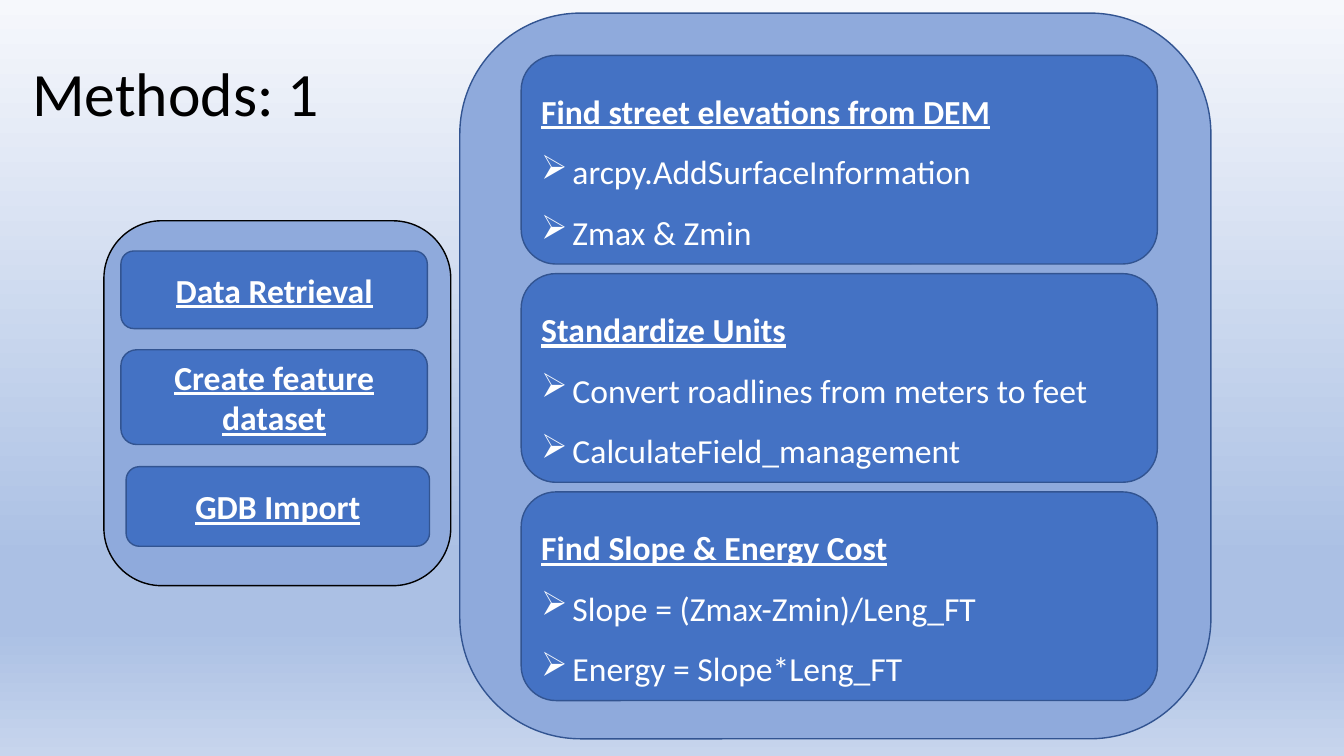
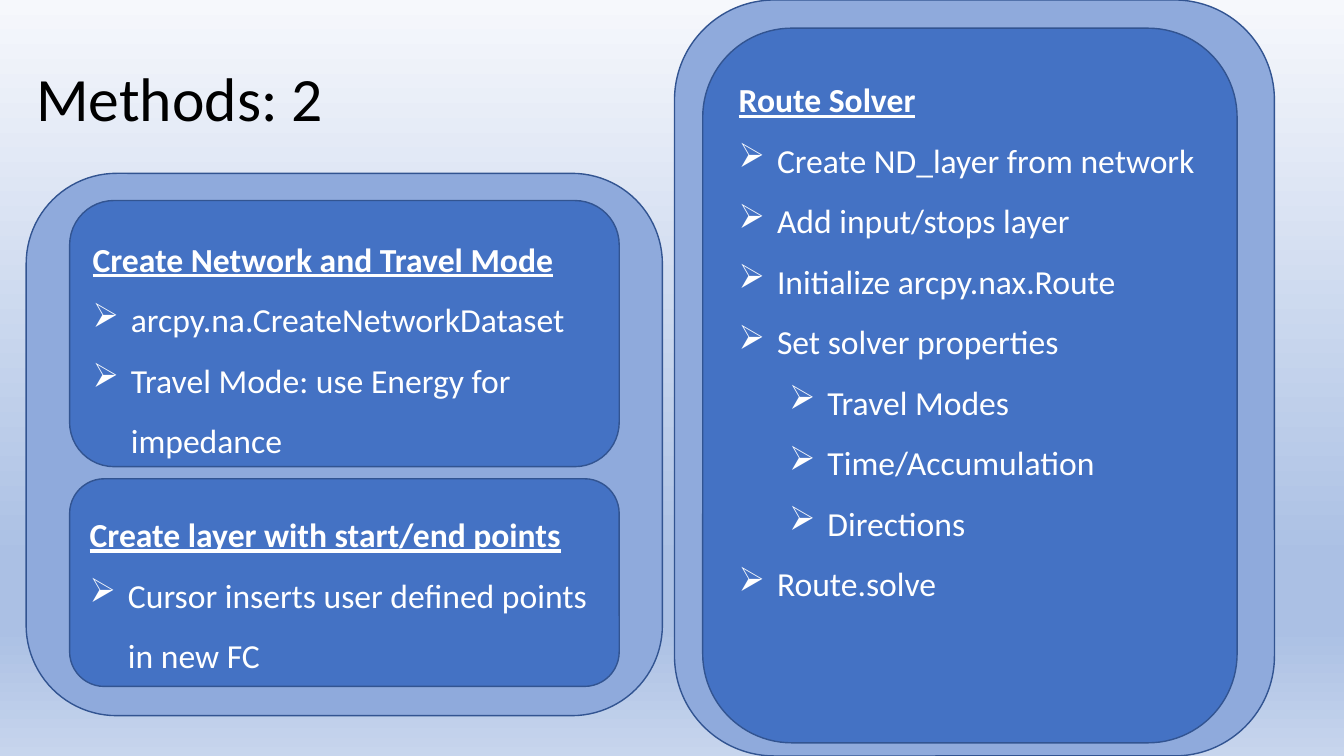
from lxml.etree import SubElement
from pptx import Presentation
from pptx.dml.color import RGBColor
from pptx.enum.shapes import MSO_SHAPE
from pptx.enum.text import MSO_ANCHOR, PP_ALIGN
from pptx.oxml.ns import qn
from pptx.util import Inches, Pt

SLIDE_WIDTH, SLIDE_HEIGHT = Inches(13.33), Inches(7.5)
TITLE_ONLY = 5

BLACK = RGBColor(0x00, 0x00, 0x00)
WHITE = RGBColor(0xFF, 0xFF, 0xFF)
PANEL_BLUE = RGBColor(0x8F, 0xAA, 0xDC)
CARD_BLUE = RGBColor(0x44, 0x72, 0xC4)
OUTLINE_BLUE = RGBColor(0x32, 0x54, 0x91)
BACKGROUND_STOPS = [
    (0, RGBColor(0xF6, 0xF8, 0xFC)),
    (74, RGBColor(0xAB, 0xC0, 0xE4)),
    (83, RGBColor(0xAB, 0xC0, 0xE4)),
    (100, RGBColor(0xC7, 0xD5, 0xED)),
]

BODY_FORMAT = {"name": "Calibri", "size": Pt(24), "bold": False, "underline": False}
HEADING_FORMAT = {**BODY_FORMAT, "bold": True, "underline": True}
TITLE_FORMAT = {"name": "Calibri", "size": Pt(44)}

BULLET = "➢"
LEVEL_INDENT = 0.5

# Every box is left, top, width, height in percent of the slide.
STEP_BOXES = [
    ("Data Retrieval", (9, 33.2, 22.8, 10.27)),
    ("Create feature dataset", (9, 46.27, 22.8, 12.53)),
    ("GDB Import", (9.38, 61.73, 22.58, 10.53)),
]
CALCULATION_CARDS = [
    ("Find street elevations from DEM",
     ["arcpy.AddSurfaceInformation", "Zmax & Zmin"]),
    ("Standardize Units",
     ["Convert roadlines from meters to feet", "CalculateField_management"]),
    ("Find Slope & Energy Cost",
     ["Slope = (Zmax-Zmin)/Leng_FT", "Energy = Slope*Leng_FT"]),
]
CARD_TOP, CARD_PITCH = 7.33, 28.87
NETWORK_CARDS = [
    ("Create Network and Travel Mode", (5.18, 26.53, 40.89, 35.2),
     ["arcpy.na.CreateNetworkDataset", "Travel Mode: use Energy for impedance"]),
    ("Create layer with start/end points", (5.18, 63.33, 40.89, 27.47),
     ["Cursor inserts user defined points in new FC"]),
    ("Route Solver", (52.29, 3.73, 39.76, 94.53),
     ["Create ND_layer from network", "Add input/stops layer",
      "Initialize arcpy.nax.Route", "Set solver properties",
      ("Travel Modes", 1), ("Time/Accumulation", 1), ("Directions", 1),
      "Route.solve"]),
]


def to_lengths(box):
    """Turn percent of the slide into EMU."""
    sides = (SLIDE_WIDTH, SLIDE_HEIGHT) * 2
    return [round(side * share / 100) for side, share in zip(sides, box)]


def apply_font(font, settings, color):
    for name, value in settings.items():
        setattr(font, name, value)
    font.color.rgb = color


def set_background(master):
    fill = master.background.fill
    fill.gradient()
    fill.gradient_angle = 270
    stop_list = master.element.find(".//" + qn("a:gsLst"))
    for stop in list(stop_list):
        stop_list.remove(stop)
    for percent, color in BACKGROUND_STOPS:
        stop = SubElement(stop_list, qn("a:gs"), pos=str(percent * 1000))
        SubElement(stop, qn("a:srgbClr"), val=str(color))


def add_titled_slide(presentation, text, box):
    slide = presentation.slides.add_slide(presentation.slide_layouts[TITLE_ONLY])
    title = slide.shapes.title
    title.left, title.top, title.width, title.height = to_lengths(box)
    title.text_frame.text = text
    title.text_frame.vertical_anchor = MSO_ANCHOR.MIDDLE
    paragraph = title.text_frame.paragraphs[0]
    paragraph.alignment = PP_ALIGN.LEFT
    paragraph.line_spacing = 0.9
    apply_font(paragraph.runs[0].font, TITLE_FORMAT, BLACK)
    return slide


def add_rounded_box(slide, box, fill_color, line_color=OUTLINE_BLUE):
    shape = slide.shapes.add_shape(MSO_SHAPE.ROUNDED_RECTANGLE, *to_lengths(box))
    shape.shadow.inherit = False
    shape.fill.solid()
    shape.fill.fore_color.rgb = fill_color
    shape.line.color.rgb = line_color
    shape.line.width = Pt(1)
    return shape


def write_paragraph(paragraph, text, settings, alignment):
    run = paragraph.add_run()
    run.text = text
    paragraph.alignment = alignment
    apply_font(run.font, settings, WHITE)


def add_bullet(paragraph, level, indent):
    paragraph.level = level
    properties = paragraph._p.get_or_add_pPr()
    properties.set("marL", str(Inches(indent + level * LEVEL_INDENT)))
    properties.set("indent", str(-Inches(indent)))
    SubElement(properties, qn("a:buChar"), char=BULLET)


def add_step(slide, text, box):
    frame = add_rounded_box(slide, box, CARD_BLUE).text_frame
    frame.word_wrap = True
    frame.vertical_anchor = MSO_ANCHOR.MIDDLE
    write_paragraph(frame.paragraphs[0], text, HEADING_FORMAT, PP_ALIGN.CENTER)


def add_card(slide, heading, box, items, indent):
    """Add a heading with bullets; an item is a text or a (text, level) pair."""
    frame = add_rounded_box(slide, box, CARD_BLUE).text_frame
    frame.word_wrap = True
    frame.vertical_anchor = MSO_ANCHOR.TOP
    paragraph = frame.paragraphs[0]
    paragraph.line_spacing = 1.5
    write_paragraph(paragraph, heading, HEADING_FORMAT, PP_ALIGN.LEFT)
    for item in items:
        text, level = (item, 0) if isinstance(item, str) else item
        paragraph = frame.add_paragraph()
        paragraph.line_spacing = 1.5
        write_paragraph(paragraph, text, BODY_FORMAT, PP_ALIGN.LEFT)
        add_bullet(paragraph, level, indent)


def build_calculation_slide(presentation):
    slide = add_titled_slide(presentation, "Methods: 1", (1.65, 3.07, 23.63, 19.47))
    add_rounded_box(slide, (7.73, 29.2, 25.81, 48.27), PANEL_BLUE, BLACK)
    add_rounded_box(slide, (34.21, 1.73, 55.89, 96), PANEL_BLUE)
    for text, box in STEP_BOXES:
        add_step(slide, text, box)
    for index, (heading, items) in enumerate(CALCULATION_CARDS):
        box = (38.78, CARD_TOP + index * CARD_PITCH, 47.34, 27.6)
        add_card(slide, heading, box, items, indent=0.31)


def build_network_slide(presentation):
    slide = add_titled_slide(presentation, "Methods: 2", (1.95, 3.73, 24.61, 19.33))
    add_rounded_box(slide, (50.19, 0, 44.64, 100), PANEL_BLUE)
    add_rounded_box(slide, (1.95, 22.93, 47.34, 71.73), PANEL_BLUE)
    for heading, box, items in NETWORK_CARDS:
        add_card(slide, heading, box, items, indent=0.38)


def main():
    presentation = Presentation()
    presentation.slide_width = SLIDE_WIDTH
    presentation.slide_height = SLIDE_HEIGHT
    set_background(presentation.slide_master)
    build_calculation_slide(presentation)
    build_network_slide(presentation)
    presentation.save("out.pptx")


if __name__ == "__main__":
    main()
